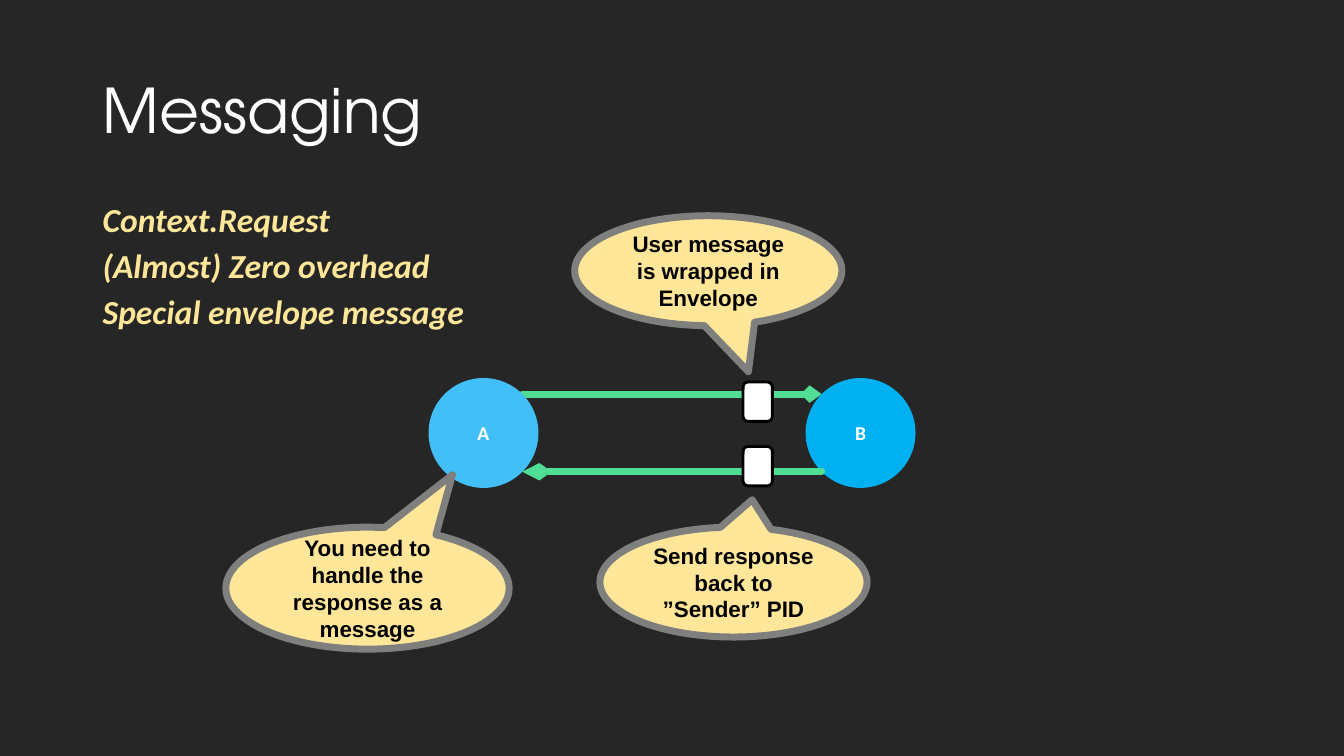
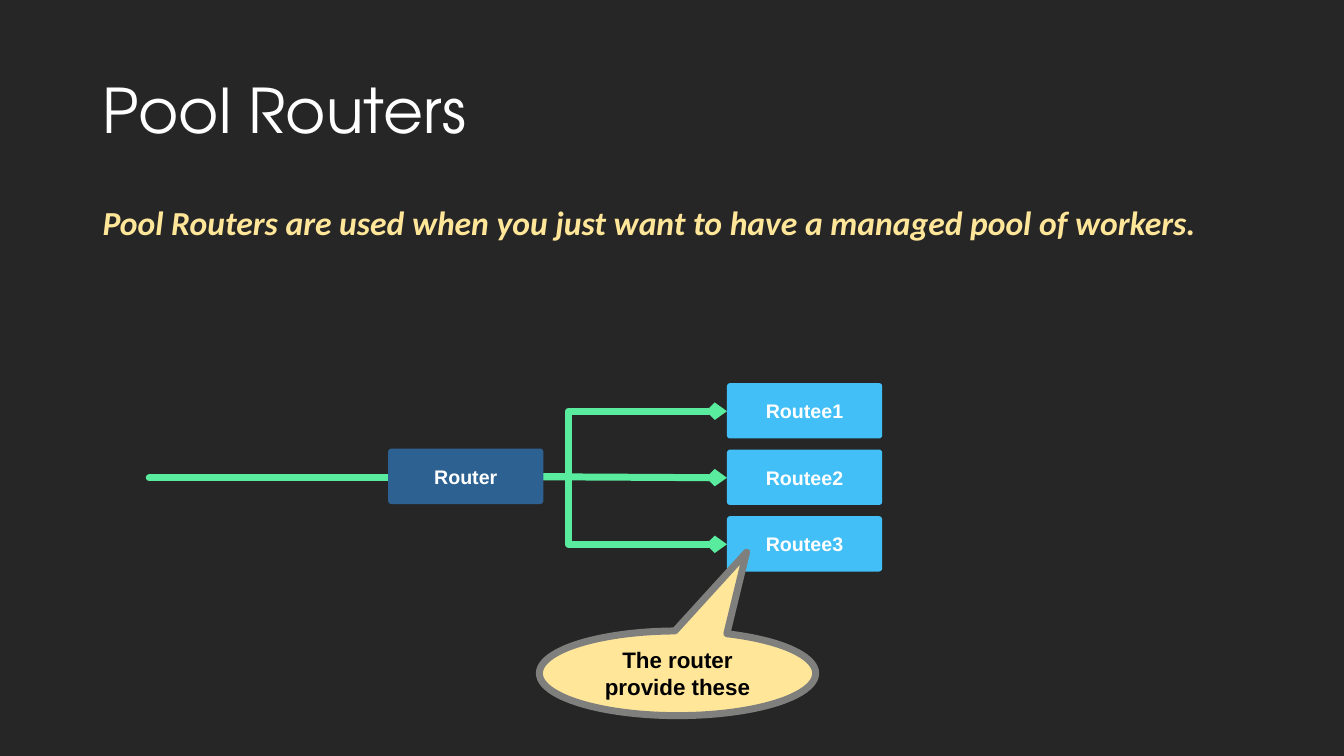
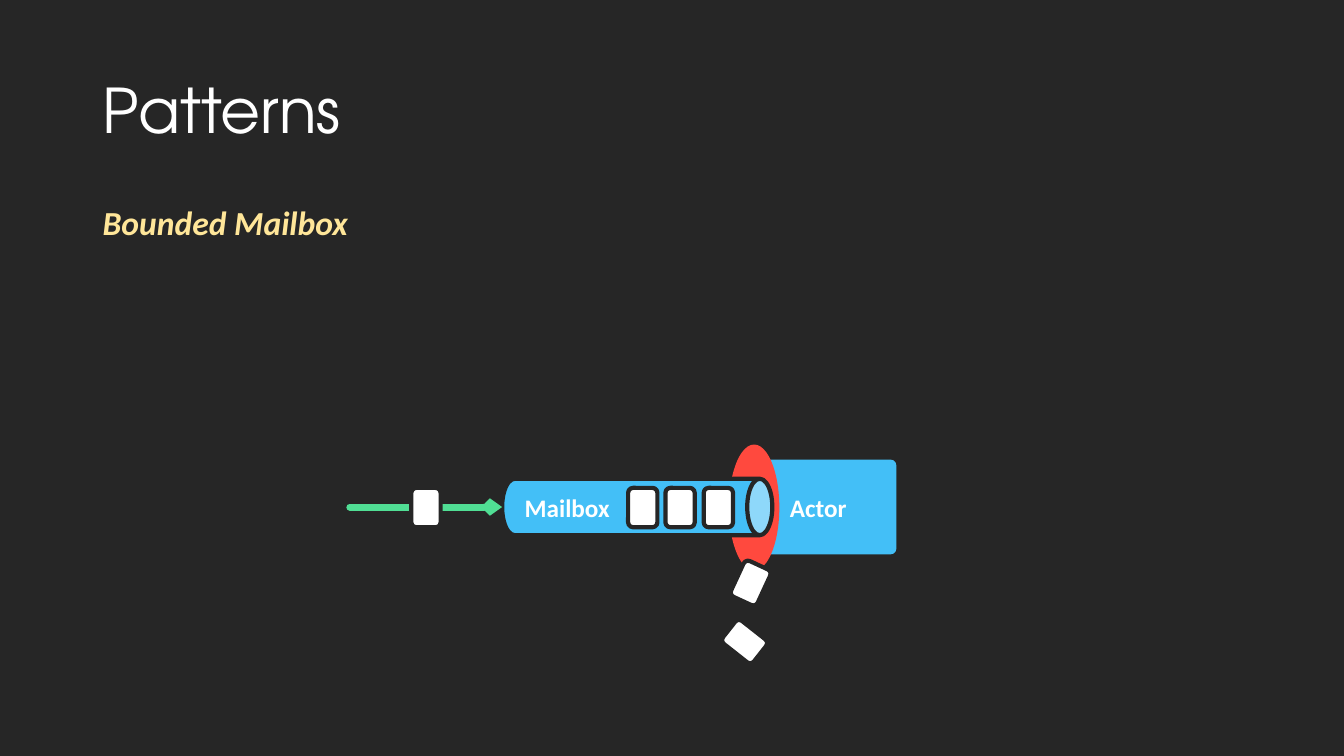
from lxml import etree
from pptx import Presentation
from pptx.dml.color import RGBColor
from pptx.enum.shapes import MSO_CONNECTOR, MSO_SHAPE
from pptx.enum.text import MSO_ANCHOR, PP_ALIGN
from pptx.oxml.ns import qn
from pptx.util import Inches, Pt

OVAL, ROUNDED = MSO_SHAPE.OVAL, MSO_SHAPE.ROUNDED_RECTANGLE
CALLOUT, CAN = MSO_SHAPE.OVAL_CALLOUT, MSO_SHAPE.CAN
STRAIGHT, ELBOW = MSO_CONNECTOR.STRAIGHT, MSO_CONNECTOR.ELBOW
LEFT, CENTER, MIDDLE = PP_ALIGN.LEFT, PP_ALIGN.CENTER, MSO_ANCHOR.MIDDLE

COLORS = {
    "background": "262626", "white": "FFFFFF", "black": "000000",
    "cream": "FFE699", "gray": "7F807D", "sky": "43BFF7", "blue": "00B0F0",
    "navy": "2C6191", "red": "FF493E", "green": "50DE94", "mint": "59EC9F",
}
RGB = {name: RGBColor.from_string(value) for name, value in COLORS.items()}

# Text styles
TITLE = {"name": "TeX Gyre Adventor", "size": Pt(44), "color": "white"}
BODY = {"name": "Calibri", "size": Pt(24), "bold": True, "italic": True, "color": "cream"}
NODE = {"name": "Calibri", "size": Pt(14), "bold": True, "color": "white"}
ROUTE = {**NODE, "name": "Arial"}
PART = {**NODE, "size": Pt(18)}
NOTE = {"name": "Arial", "size": Pt(16), "bold": True, "color": "black"}

ENVELOPE_SIZE = (0.29, 0.39)
ROUTE_SIZE = (1.54, 0.55)


def add_text(paragraph, text, style, align):
    paragraph.text = text
    paragraph.alignment = align
    for key, value in style.items():
        if key == "color":
            paragraph.font.color.rgb = RGB[value]
        else:
            setattr(paragraph.font, key, value)


def add_part(slide, kind, at, fill, outline=None, text="", style=NODE, adjust=(), align=CENTER):
    """Draw a shape, or a connector when kind is a connector type."""
    if kind in (STRAIGHT, ELBOW) and isinstance(kind, MSO_CONNECTOR):
        part = slide.shapes.add_connector(kind, *map(Inches, at))
        part.line.color.rgb = RGB[fill]
        part.line.width = Pt(5)
        stroke = part.line._get_or_add_ln()
        stroke.set("cap", "rnd")
        etree.SubElement(stroke, qn("a:round"))
        if outline:  # length of the arrowhead
            etree.SubElement(stroke, qn("a:tailEnd"), type="arrow", w="sm", len=outline)
        properties = part._element.spPr
        etree.SubElement(properties, qn("a:effectLst"))
        for value in adjust:
            guides = properties.find(qn("a:prstGeom")).find(qn("a:avLst"))
            etree.SubElement(guides, qn("a:gd"), name="adj1", fmla=f"val {round(value * 100000)}")
        return part
    part = slide.shapes.add_shape(kind, *map(Inches, at))
    part.shadow.inherit = False
    part.fill.solid()
    part.fill.fore_color.rgb = RGB[fill]
    if outline:
        color, width = outline
        part.line.color.rgb = RGB[color]
        part.line.width = Pt(width)
    else:
        part.line.fill.background()
    for index, value in enumerate(adjust):
        part.adjustments[index] = value
    if text:
        part.text_frame.word_wrap = True
        part.text_frame.vertical_anchor = MIDDLE
        add_text(part.text_frame.paragraphs[0], text, style, align)
    return part


deck = Presentation()
deck.slide_width, deck.slide_height = Inches(13.33), Inches(7.5)
deck.slide_master.background.fill.solid()
deck.slide_master.background.fill.fore_color.rgb = RGB["background"]

# Titles and body text
topics = [
    ("Messaging", 0.8, ["Context.Request", "(Almost) Zero overhead", "Special envelope message"]),
    ("Pool Routers", 0.9,
     ["Pool Routers are used when you just want to have a managed pool of workers."]),
    ("Patterns", 0.9, ["Bounded Mailbox"]),
]
for heading, spacing, points in topics:
    slide = deck.slides.add_slide(deck.slide_layouts[5])
    title = slide.shapes.title
    title.left, title.top, title.width, title.height = map(Inches, (0.92, 0.4, 11.5, 1.45))
    title.text_frame.vertical_anchor = MIDDLE
    add_text(title.text_frame.paragraphs[0], heading, TITLE, LEFT)
    title.text_frame.paragraphs[0].line_spacing = 0.9
    body = slide.shapes.add_textbox(*map(Inches, (0.92, 2, 11.5, 1.35))).text_frame
    body.word_wrap = True
    for number, point in enumerate(points):
        paragraph = body.add_paragraph() if number else body.paragraphs[0]
        add_text(paragraph, point, BODY, LEFT)
        paragraph.line_spacing = spacing
        if number:
            paragraph.space_before = Pt(10)
messaging, routers, patterns = deck.slides

# Messaging: request and response between two actors
add_part(messaging, STRAIGHT, (5.18, 3.91, 8.15, 3.91), "green", "sm")
for name, left, fill in [("A", 4.25, "sky"), ("B", 7.99, "blue")]:
    add_part(messaging, OVAL, (left, 3.75, 1.09, 1.09), fill, text=name)
add_part(messaging, STRAIGHT, (8.15, 4.68, 5.18, 4.68), "green", "med")
for top in (3.79, 4.43):
    add_part(messaging, ROUNDED, (7.37, top, *ENVELOPE_SIZE), "white", ("black", 2))

# Pool routers: one router feeding three routees
for row in range(3):
    top = 3.8 + row * 0.66
    kind = STRAIGHT if row == 1 else ELBOW
    bend = () if row == 1 else (0.135,)
    add_part(routers, kind, (5.39, 4.73, 7.21, top + 0.28), "mint", "sm", adjust=bend)
    add_part(routers, ROUNDED, (7.21, top, *ROUTE_SIZE), "sky",
             text=f"Routee{row + 1}", style=ROUTE, adjust=(0.06,))
add_part(routers, STRAIGHT, (1.48, 4.74, 3.85, 4.74), "mint")
add_part(routers, ROUNDED, (3.85, 4.45, *ROUTE_SIZE), "navy",
         text="Router", style=ROUTE, adjust=(0.06,))

# Speech bubbles, with the tip given relative to the bubble
bubbles = [
    (messaging, (5.7, 2.14, 2.65, 1.09), (0.15, 0.92), "User message is wrapped in Envelope"),
    (messaging, (5.95, 5.23, 2.65, 1.09), (0.07, -0.75), "Send response back to ”Sender” PID"),
    (messaging, (2.24, 5.23, 2.81, 1.21), (0.3, -0.93),
     "You need to handle the response as a message"),
    (routers, (5.35, 6.26, 2.74, 0.84), (0.25, -1.43), "The router provide these"),
]
for slide, at, tip, remark in bubbles:
    add_part(slide, CALLOUT, at, "cream", ("gray", 5), remark, NOTE, tip)

# Patterns: a full mailbox that rejects messages
add_part(patterns, ROUNDED, (7.34, 4.56, 1.55, 0.94), "sky",
         text="Actor", style=PART, adjust=(0.06,))
add_part(patterns, OVAL, (7.23, 4.41, 0.5, 1.25), "red")
mailbox = add_part(patterns, CAN, (6.04, 3.69, 0.56, 2.68), "sky", ("background", 3),
                   "Mailbox", PART, (0.445,), LEFT)
mailbox.rotation = 90
mailbox.text_frame._txBody.bodyPr.set("vert", "vert270")
add_part(patterns, STRAIGHT, (3.47, 5.03, 4.98, 5.03), "green", "sm")

# Messages: queued, arriving and rejected
messages = [(6.98, 4.84, 0), (6.6, 4.84, 0), (6.23, 4.84, 0), (4.08, 4.84, 0),
            (7.3, 5.59, 24.8), (7.24, 6.17, 308.2)]
for left, top, angle in messages:
    message = add_part(patterns, ROUNDED, (left, top, *ENVELOPE_SIZE), "white", ("background", 3))
    message.rotation = angle

deck.save("out.pptx")
